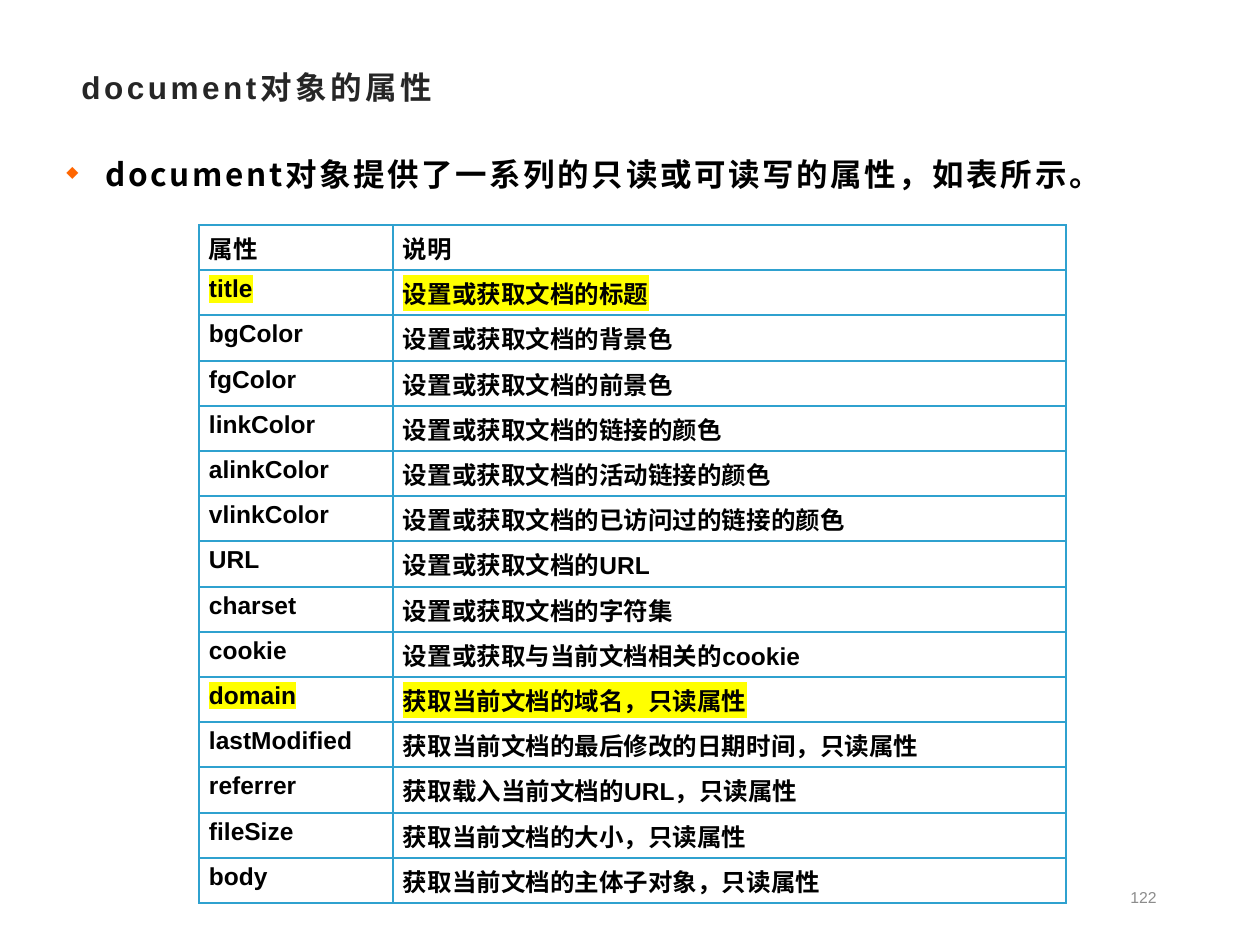
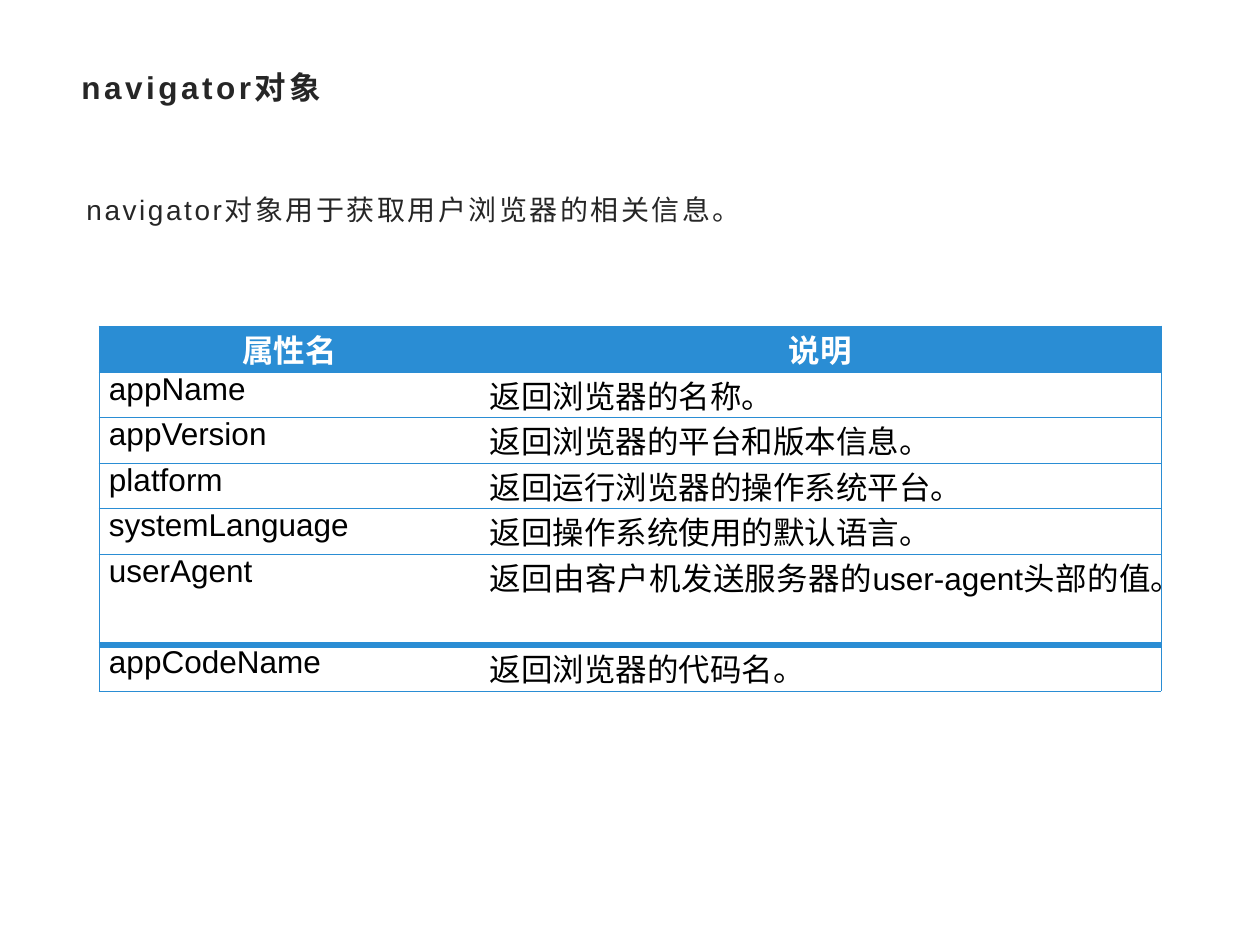
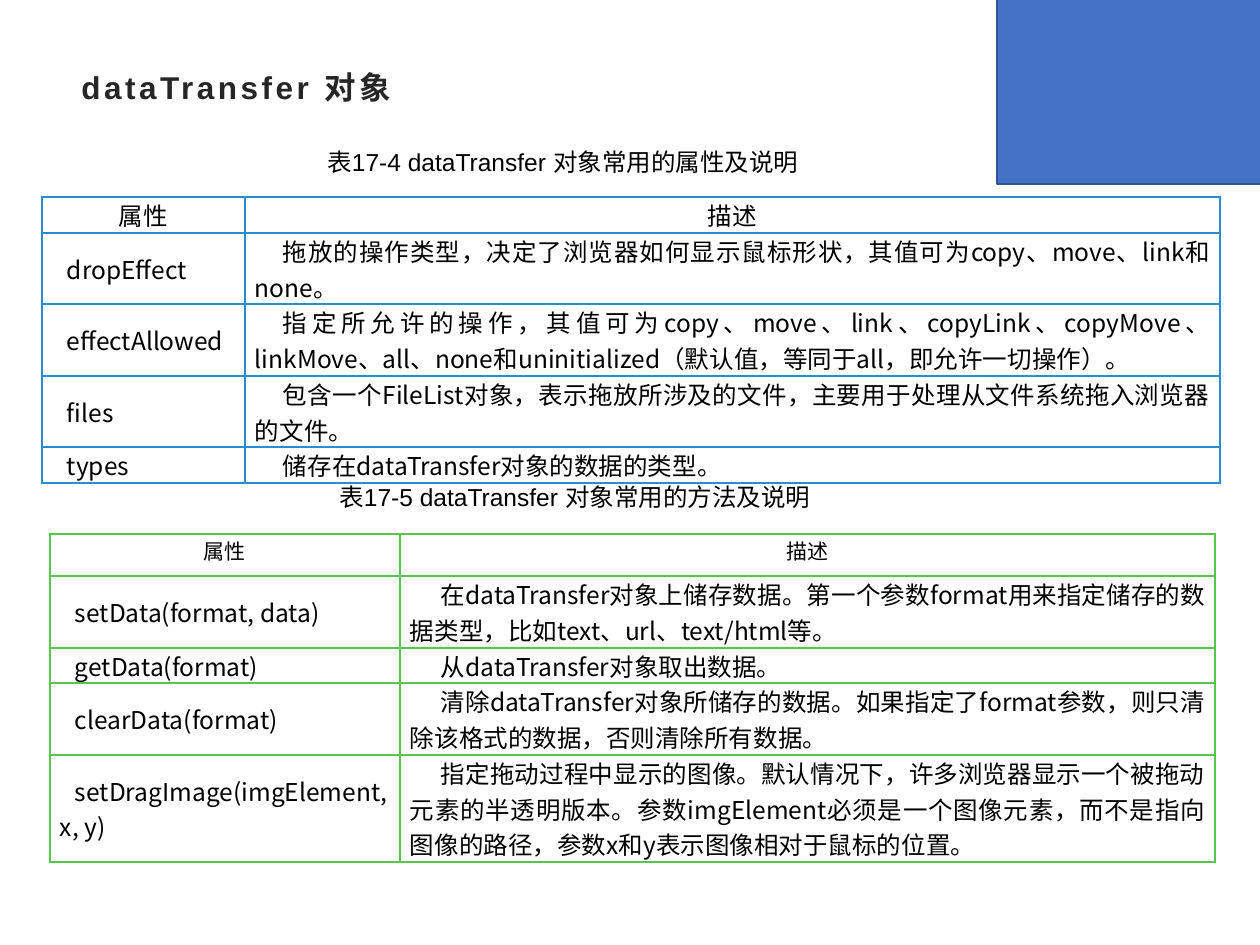
from dataclasses import dataclass

from lxml import etree
from pptx import Presentation
from pptx import util as u
from pptx.dml.color import RGBColor
from pptx.enum import shapes, text
from pptx.oxml.ns import qn

SCALE = 914400 / 126


@dataclass(frozen=True)
class Theme:
    latin: str = "Arial"
    cjk: str = "Noto Sans CJK SC"
    ink: str = "000000"
    heading: str = "262626"
    muted: str = "8C8C8C"
    paper: str = "FFFFFF"
    mark: str = "FFFF00"
    bullet: str = "FF6600"
    teal: str = "2FA1CF"
    blue: str = "2A8DD4"
    green: str = "59C54F"
    block: str = "4472C4"
    block_edge: str = "325491"
    title_size: int = 18
    lead_size: int = 16
    cell_size: int = 14
    small_size: int = 12
    page_size: int = 9


T = Theme()
CENTER, RIGHT, JUSTIFY = text.PP_ALIGN.CENTER, text.PP_ALIGN.RIGHT, text.PP_ALIGN.JUSTIFY
MIDDLE, TOP = text.MSO_ANCHOR.MIDDLE, text.MSO_ANCHOR.TOP


def px(n):
    return u.Emu(round(n * SCALE))


def split(total, weights):
    edges = [round(total * sum(weights[:i]) / sum(weights)) for i in range(len(weights) + 1)]
    return [b - a for a, b in zip(edges, edges[1:])]


def add(parent, tag, **attrs):
    return etree.SubElement(parent, qn(tag), attrs)


def write(p, content, size=T.cell_size, color=T.ink, bold=False, font=T.latin, spacing=0,
          mark=None, align=None, margin=0, indent=0, line=None, after=None, bullet=None):
    pPr = p._p.get_or_add_pPr()
    pPr.set("marL", str(px(margin)))
    pPr.set("indent", str(px(indent)))
    if bullet:
        add(add(pPr, "a:buClr"), "a:srgbClr", val=T.bullet)
        add(pPr, "a:buSzPct", val="50000")
        add(pPr, "a:buChar", char=bullet)
    p.alignment = align
    p.line_spacing = line
    p.space_after = after
    r = p.add_run()
    r.text = content
    f = r.font
    f.size, f.bold = u.Pt(size), bold
    f.color.rgb = RGBColor.from_string(color)
    rPr = r._r.get_or_add_rPr()
    if spacing:
        rPr.set("spc", str(int(spacing * 100)))
    if mark:
        add(add(rPr, "a:highlight"), "a:srgbClr", val=mark)
    f.name = font
    add(rPr, "a:ea", typeface=T.cjk)


class Deck:
    def __init__(self):
        self.prs = Presentation()
        self.prs.slide_width, self.prs.slide_height = px(1260), px(945)
        self.s = None

    def slide(self, title):
        self.s = self.prs.slides.add_slide(self.prs.slide_layouts[6])
        self.label((69, 62, 1121, 60), title, size=T.title_size, color=T.heading,
                   bold=True, spacing=2)

    def label(self, box, content, anchor=TOP, **fmt):
        tf = self.s.shapes.add_textbox(*map(px, box)).text_frame
        tf.word_wrap = True
        tf.vertical_anchor = anchor
        write(tf.paragraphs[0], content, **fmt)

    def rect(self, box, fill, line):
        sp = self.s.shapes.add_shape(shapes.MSO_SHAPE.RECTANGLE, *map(px, box))
        sp.shadow.inherit = False
        sp.fill.solid()
        sp.fill.fore_color.rgb = RGBColor.from_string(fill)
        sp.line.color.rgb = RGBColor.from_string(line)
        sp.line.width = u.Pt(1)

    def border(self, cell, side, color, width):
        tcPr = cell._tc.get_or_add_tcPr()
        ln = add(tcPr, f"a:ln{side}", w=str(u.Pt(width)))
        if width:
            add(add(ln, "a:solidFill"), "a:srgbClr", val=color)
        else:
            add(ln, "a:noFill")

    def table(self, at, cols, heights, rows, color, head, key, value, width=1, inner=True,
              head_fill=None, thick_row=None, anchor=TOP, pad=0, marked=()):
        frame = self.s.shapes.add_table(len(rows), len(cols), *map(px, (*at, sum(cols), sum(heights))))
        t = frame.table
        t.first_row = t.horz_banding = False
        for col, w in zip(t.columns, cols):
            col.width = px(w)
        for i, (row, h, values) in enumerate(zip(t.rows, heights, rows)):
            row.height = px(h)
            top, bottom = (4 if n == thick_row else width for n in (i, i + 1))
            for j, (cell, content) in enumerate(zip(row.cells, values)):
                cell.margin_left = cell.margin_right = px(10)
                cell.margin_top = cell.margin_bottom = px(pad)
                cell.vertical_anchor = anchor
                self.border(cell, "L", color, width if inner or j == 0 else 0)
                self.border(cell, "R", color, width if inner or j == len(cols) - 1 else 0)
                self.border(cell, "T", color, top)
                self.border(cell, "B", color, bottom)
                if head_fill and i == 0:
                    cell.fill.solid()
                    cell.fill.fore_color.rgb = RGBColor.from_string(head_fill)
                else:
                    cell.fill.background()
                fmt = head if i == 0 else (key, value)[j]
                write(cell.text_frame.paragraphs[0], content,
                      mark=T.mark if values[0] in marked else None, **fmt)


DOCUMENT_ROWS = [
    ("属性", "说明"),
    ("title", "设置或获取文档的标题"),
    ("bgColor", "设置或获取文档的背景色"),
    ("fgColor", "设置或获取文档的前景色"),
    ("linkColor", "设置或获取文档的链接的颜色"),
    ("alinkColor", "设置或获取文档的活动链接的颜色"),
    ("vlinkColor", "设置或获取文档的已访问过的链接的颜色"),
    ("URL", "设置或获取文档的URL"),
    ("charset", "设置或获取文档的字符集"),
    ("cookie", "设置或获取与当前文档相关的cookie"),
    ("domain", "获取当前文档的域名，只读属性"),
    ("lastModified", "获取当前文档的最后修改的日期时间，只读属性"),
    ("referrer", "获取载入当前文档的URL，只读属性"),
    ("fileSize", "获取当前文档的大小，只读属性"),
    ("body", "获取当前文档的主体子对象，只读属性"),
]
NAVIGATOR_ROWS = [
    ("属性名", "说明"),
    ("appName", "返回浏览器的名称。"),
    ("appVersion", "返回浏览器的平台和版本信息。"),
    ("platform", "返回运行浏览器的操作系统平台。"),
    ("systemLanguage", "返回操作系统使用的默认语言。"),
    ("userAgent", "返回由客户机发送服务器的user-agent头部的值。"),
    ("appCodeName", "返回浏览器的代码名。"),
]
TRANSFER_PROPERTIES = [
    ("属性", "描述"),
    ("dropEffect", "拖放的操作类型，决定了浏览器如何显示鼠标形状，其值可为copy、move、link和none。"),
    ("effectAllowed", "指定所允许的操作，其值可为copy、move、link、copyLink、copyMove、linkMove、all、"
                      "none和uninitialized（默认值，等同于all，即允许一切操作）。"),
    ("files", "包含一个FileList对象，表示拖放所涉及的文件，主要用于处理从文件系统拖入浏览器的文件。"),
    ("types", "储存在dataTransfer对象的数据的类型。"),
]
TRANSFER_METHODS = [
    ("属性", "描述"),
    ("setData(format, data)", "在dataTransfer对象上储存数据。第一个参数format用来指定储存的数据类型，"
                              "比如text、url、text/html等。"),
    ("getData(format)", "从dataTransfer对象取出数据。"),
    ("clearData(format)", "清除dataTransfer对象所储存的数据。如果指定了format参数，"
                          "则只清除该格式的数据，否则清除所有数据。"),
    ("setDragImage(imgElement, x, y)", "指定拖动过程中显示的图像。默认情况下，许多浏览器显示一个被拖动元素的"
                                       "半透明版本。参数imgElement必须是一个图像元素，而不是指向图像的路径，"
                                       "参数x和y表示图像相对于鼠标的位置。"),
]


def document_slide(d):
    d.slide("document对象的属性")
    hanging = dict(bold=True, margin=48, indent=-48)
    d.table((199, 225), (194, 673), split(678, [1] * len(DOCUMENT_ROWS)), DOCUMENT_ROWS, T.teal,
            hanging, hanging, hanging, pad=5, marked=("title", "domain"))
    d.label((54, 141, 1128, 58), "document对象提供了一系列的只读或可读写的属性，如表所示。",
            size=T.title_size, bold=True, font=T.cjk, spacing=1.5, margin=39, indent=-39,
            line=1.2, after=u.Pt(3), bullet="◆")
    d.label((891, 875, 278, 44), "122", anchor=MIDDLE, size=T.page_size, color=T.muted,
            align=RIGHT)


def navigator_slide(d):
    d.slide("navigator对象")
    d.label((74, 176, 999, 96), "navigator对象用于获取用户浏览器的相关信息。", size=T.lead_size,
            color=T.heading, spacing=1.5, margin=24, indent=-24, line=1.3)
    head = dict(size=T.title_size, color=T.paper, bold=True, align=CENTER)
    entry = dict(size=T.title_size, align=JUSTIFY)
    d.table((99, 326), (381, 681), split(365, [1] * 5 + [2, 1]), NAVIGATOR_ROWS, T.blue,
            head, entry, entry, width=0.5, inner=False, head_fill=T.blue, thick_row=6)


def transfer_slide(d):
    d.slide("dataTransfer 对象")
    head = dict(font=T.cjk, align=CENTER)
    entry = dict(font=T.cjk, align=JUSTIFY)
    key = dict(entry, indent=15)
    d.table((42, 197), (203, 975), split(286, [1, 2, 2, 2, 1]), TRANSFER_PROPERTIES, T.blue,
            head, key, dict(entry, indent=28), anchor=MIDDLE)
    d.table((50, 534), (350, 815), [42, *split(286, [2, 1, 2, 3])], TRANSFER_METHODS, T.green,
            dict(head, size=T.small_size, line=u.Pt(12)), key, dict(entry, indent=31),
            anchor=MIDDLE)
    d.label((327, 476, 683, 43), "表17-5 dataTransfer 对象常用的方法及说明")
    d.label((315, 141, 630, 43), "表17-4 dataTransfer 对象常用的属性及说明")
    d.rect((997, -15, 470, 199), T.block, T.block_edge)


def main():
    d = Deck()
    document_slide(d)
    navigator_slide(d)
    transfer_slide(d)
    d.prs.save("out.pptx")


if __name__ == "__main__":
    main()
